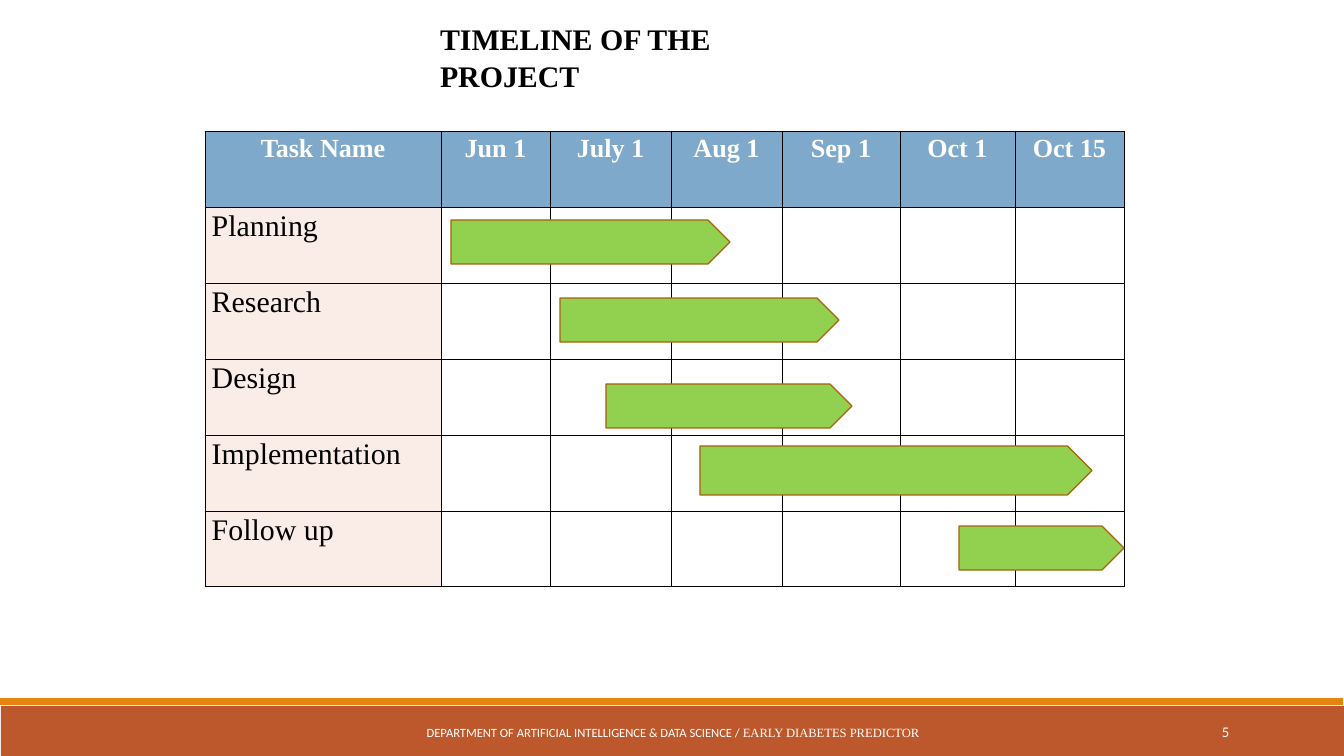
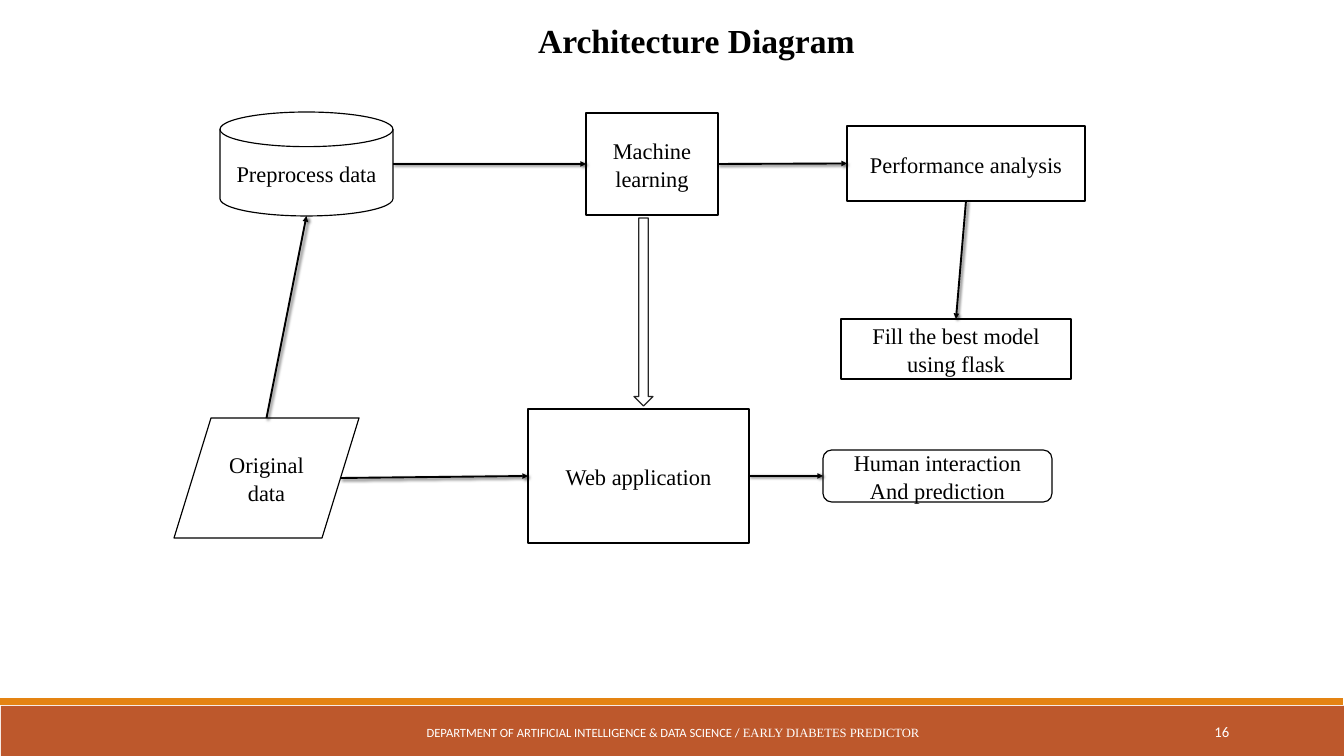
from collections import namedtuple
from dataclasses import dataclass

from lxml import etree
from pptx import Presentation
from pptx import util as u
from pptx.dml import color
from pptx.enum import shapes, text
from pptx.oxml import ns

SCALE = 914400 / 67.2
Box = namedtuple("Box", "left top width height")
Task = namedtuple("Task", "name left drop width height")
Node = namedtuple("Node", "kind lines box")
Kind = namedtuple("Kind", "preset sites")


@dataclass(frozen=True)
class Theme:
    """Colours, fonts and type sizes of the deck."""
    serif: str = "Times New Roman"
    sans: str = "Calibri"
    ink: str = "000000"
    paper: str = "FFFFFF"
    rust: str = "BD582C"
    orange: str = "E48312"
    header: str = "7EA9CA"
    task: str = "FAEDE7"
    bar: str = "92D050"
    bar_edge: str = "A9610D"
    arrow_edge: str = "262626"
    title: float = 32
    big_title: float = 36
    head: float = 28
    node: float = 24
    footer: float = 13.5
    number: float = 15.8
    edge: float = 1.25
    connector: float = 2
    leading: float = 1.05


THEME = Theme()
ALIGN = text.PP_ALIGN
ANCHOR = text.MSO_ANCHOR
PRESET = shapes.MSO_SHAPE

MONTHS = ["Jun 1", "July 1", "Aug 1", "Sep 1", "Oct 1", "Oct 15"]
COLUMNS = [236, 109, 121, 111, 118, 115, 109]
ROW_HEIGHT = 76
TASKS = [
    Task("Planning", 246, 13, 279, 44),
    Task("Research", 355, 15, 279, 44),
    Task("Design", 401, 25, 246, 44),
    Task("Implementation", 495, 11, 392, 49),
    Task("Follow up", 754, 15, 165, 44),
]

SIDES = {
    "top": (0.5, 0, 0),
    "left": (0, 0.5, 1),
    "bottom": (0.5, 1, 2),
    "right": (1, 0.5, 3),
}
KINDS = {
    "rect": Kind(PRESET.RECTANGLE, SIDES),
    "process": Kind(PRESET.FLOWCHART_PROCESS, SIDES),
    "rounded": Kind(PRESET.ROUNDED_RECTANGLE, SIDES),
    "disk": Kind(PRESET.FLOWCHART_MAGNETIC_DISK,
                 {"bottom": (0.5, 1, 3), "right": (1, 0.5, 4)}),
    "data": Kind(PRESET.FLOWCHART_DATA,
                 {"top": (0.5, 0, 1), "right": (0.9, 0.5, 5)}),
}
NODES = {
    "performance": Node("rect", ["Performance analysis"], Box(673, 14, 238, 75)),
    "preprocess": Node("disk", ["Preprocess data"], Box(46, 0, 173, 104)),
    "learning": Node("process", ["Machine learning"], Box(412, 1, 132, 102)),
    "original": Node("data", ["Original data"], Box(0, 306, 185, 120)),
    "web": Node("process", ["Web application"], Box(354, 297, 221, 134)),
    "human": Node("rounded", ["Human interaction", "And prediction"],
                  Box(649, 338, 229, 52)),
    "model": Node("rect", ["Fill the best model using flask"],
                  Box(667, 207, 230, 60)),
}
LINKS = [
    ("original", "top", "preprocess", "bottom"),
    ("preprocess", "right", "learning", "left"),
    ("learning", "right", "performance", "left"),
    ("performance", "bottom", "model", "top"),
    ("original", "right", "web", "left"),
    ("web", "right", "human", "left"),
]


def px(length):
    """Turn pixels into EMU."""
    return u.Emu(round(length * SCALE))


def place(box):
    """Give the four EMU lengths of a box."""
    return [px(length) for length in box]


def inside(region, box):
    """Move a box that is relative to a region onto the page."""
    return Box(region.left + box.left, region.top + box.top, box.width, box.height)


def rgb(value):
    """Turn a hex string into a colour."""
    return color.RGBColor.from_string(value)


def add_xml(parent, tag, **attributes):
    """Append an XML child with the given attributes."""
    values = {name: str(value) for name, value in attributes.items()}
    return etree.SubElement(parent, ns.qn(tag), values)


def add_span(para, words, size, font=THEME.serif, ink=THEME.ink, bold=False):
    """Add one formatted run to a paragraph."""
    span = para.add_run()
    span.text = words
    span.font.size = u.Pt(size)
    span.font.name = font
    span.font.bold = bold
    span.font.color.rgb = rgb(ink)


def write(frame, lines, align=ALIGN.LEFT, anchor=ANCHOR.TOP, leading=None, **style):
    """Fill a text frame with one paragraph for each line."""
    frame.word_wrap = True
    frame.vertical_anchor = anchor
    for index, line in enumerate(lines):
        para = frame.add_paragraph() if index else frame.paragraphs[0]
        para.alignment = align
        if leading:
            para.line_spacing = leading
        add_span(para, line, **style)


def add_block(page, preset, box, fill, edge=None):
    """Draw a flat preset shape with an optional outline."""
    block = page.shapes.add_shape(preset, *place(box))
    block.shadow.inherit = False
    block.fill.solid()
    block.fill.fore_color.rgb = rgb(fill)
    if edge:
        block.line.color.rgb = rgb(edge)
        block.line.width = u.Pt(THEME.edge)
    else:
        block.line.fill.background()
    return block


def set_title(page, words, box, size, inset_left=7, inset_right=7):
    """Move and format the title placeholder."""
    title = page.shapes.title
    title.left, title.top, title.width, title.height = place(box)
    frame = title.text_frame
    frame.auto_size = text.MSO_AUTO_SIZE.NONE
    frame.margin_left, frame.margin_right = px(inset_left), px(inset_right)
    frame.margin_top = frame.margin_bottom = u.Inches(0.05)
    write(frame, [words], leading=THEME.leading, size=size, bold=True)


def add_bands(page):
    """Draw the footer bands and hand them to the page's layout."""
    layout = page.slide_layout
    for spare in list(layout.placeholders):
        if spare.placeholder_format.idx:
            layout.shapes.element.remove(spare.element)
    for box, fill in ((Box(1, 706, 1343, 50), THEME.rust),
                      (Box(0, 698, 1343, 7), THEME.orange)):
        band = add_block(page, PRESET.RECTANGLE, box, fill)
        layout.shapes.element.append(band.element)


def add_footer(page, box, number):
    """Write the department line and the page number."""
    credit = page.shapes.add_textbox(
        *place(inside(box, Box(407, 6, 532, 40)))).text_frame
    write(credit, ["DEPARTMENT OF ARTIFICIAL INTELLIGENCE & DATA SCIENCE / "],
          align=ALIGN.CENTER, anchor=ANCHOR.MIDDLE,
          size=THEME.footer, font=THEME.sans, ink=THEME.paper)
    add_span(credit.paragraphs[0], "EARLY DIABETES PREDICTOR",
             size=THEME.footer, ink=THEME.paper)
    counter = page.shapes.add_textbox(*place(inside(box, Box(1091, 6, 145, 40))))
    write(counter.text_frame, [number], align=ALIGN.RIGHT, anchor=ANCHOR.MIDDLE,
          size=THEME.number, font=THEME.sans, ink=THEME.paper)


def format_cell(cell, fill):
    """Give a cell thin black borders and a plain fill."""
    properties = cell._tc.get_or_add_tcPr()
    for side in ("a:lnL", "a:lnR", "a:lnT", "a:lnB"):
        border = add_xml(properties, side, w=u.Pt(1))
        add_xml(add_xml(border, "a:solidFill"), "a:srgbClr", val=THEME.ink)
    cell.fill.solid()
    cell.fill.fore_color.rgb = rgb(fill)


def add_schedule(page, box):
    """Draw the table of tasks against dates."""
    rows = [["Task Name", *MONTHS]] + [[task.name] for task in TASKS]
    table = page.shapes.add_table(len(rows), len(COLUMNS), *place(box)).table
    for column, width in zip(table.columns, COLUMNS):
        column.width = px(width)
    for row_index, words in enumerate(rows):
        table.rows[row_index].height = px(ROW_HEIGHT)
        for column_index, cell in enumerate(table.rows[row_index].cells):
            if row_index == 0:
                format_cell(cell, THEME.header)
                write(cell.text_frame, [words[column_index]], align=ALIGN.CENTER,
                      size=THEME.head, ink=THEME.paper, bold=True)
            elif column_index == 0:
                format_cell(cell, THEME.task)
                write(cell.text_frame, words, size=THEME.title)
            else:
                format_cell(cell, THEME.paper)


def add_bars(page, box):
    """Draw one pentagon bar in the row of each task."""
    for row, task in enumerate(TASKS, start=1):
        bar = Box(task.left, row * ROW_HEIGHT + task.drop, task.width, task.height)
        add_block(page, PRESET.PENTAGON, inside(box, bar), THEME.bar, THEME.bar_edge)


def add_node(page, region, node):
    """Draw one labelled step of the diagram."""
    block = add_block(page, KINDS[node.kind].preset, inside(region, node.box),
                      THEME.paper, THEME.ink)
    write(block.text_frame, node.lines, align=ALIGN.CENTER, anchor=ANCHOR.MIDDLE,
          leading=THEME.leading, size=THEME.node)
    return block


def site(block, name, side):
    """Find the point and the index of a connection site."""
    across, down, index = KINDS[NODES[name].kind].sites[side]
    x = round(block.left + across * block.width)
    y = round(block.top + down * block.height)
    return x, y, index


def add_link(page, blocks, start, start_side, end, end_side):
    """Join two steps with a shadowed arrow glued at both ends."""
    x1, y1, first = site(blocks[start], start, start_side)
    x2, y2, last = site(blocks[end], end, end_side)
    link = page.shapes.add_connector(shapes.MSO_CONNECTOR.STRAIGHT, x1, y1, x2, y2)
    link.line.color.rgb = rgb(THEME.ink)
    link.line.width = u.Pt(THEME.connector)
    add_xml(link.line._get_or_add_ln(), "a:tailEnd", type="triangle")
    shadow = add_xml(add_xml(link.element.spPr, "a:effectLst"), "a:outerShdw",
                     blurRad=u.Pt(3), dist=u.Pt(2), dir=45 * 60000)
    add_xml(add_xml(shadow, "a:srgbClr", val=THEME.ink), "a:alpha", val=60000)
    glue = link.element.xpath(".//p:cNvCxnSpPr")[0]
    add_xml(glue, "a:stCxn", id=blocks[start].shape_id, idx=first)
    add_xml(glue, "a:endCxn", id=blocks[end].shape_id, idx=last)


def add_architecture(page, box):
    """Draw the steps, their links and the block arrow."""
    blocks = {name: add_node(page, box, node) for name, node in NODES.items()}
    for link in LINKS:
        add_link(page, blocks, *link)
    add_block(page, PRESET.DOWN_ARROW, inside(box, Box(460, 106, 19, 188)),
              THEME.paper, THEME.arrow_edge)


def main():
    """Build the two slides and save the deck."""
    deck = Presentation()
    deck.slide_width, deck.slide_height = px(1344), px(756)
    layout = deck.slide_layouts[5]
    timeline, architecture = [deck.slides.add_slide(layout) for _ in range(2)]
    add_bands(timeline)
    for page, number in ((timeline, "5"), (architecture, "16")):
        add_footer(page, Box(0, 706, 1344, 50), number)

    set_title(timeline, "TIMELINE OF THE PROJECT", Box(433, 15, 431, 43),
              THEME.title, inset_right=30)
    schedule = Box(205, 131, sum(COLUMNS), ROW_HEIGHT * (len(TASKS) + 1))
    add_schedule(timeline, schedule)
    add_bars(timeline, schedule)

    set_title(architecture, "Architecture Diagram", Box(121, 15, 1214, 48),
              THEME.big_title, inset_left=417)
    add_architecture(architecture, Box(174, 112, 911, 431))
    deck.save("out.pptx")


if __name__ == "__main__":
    main()
